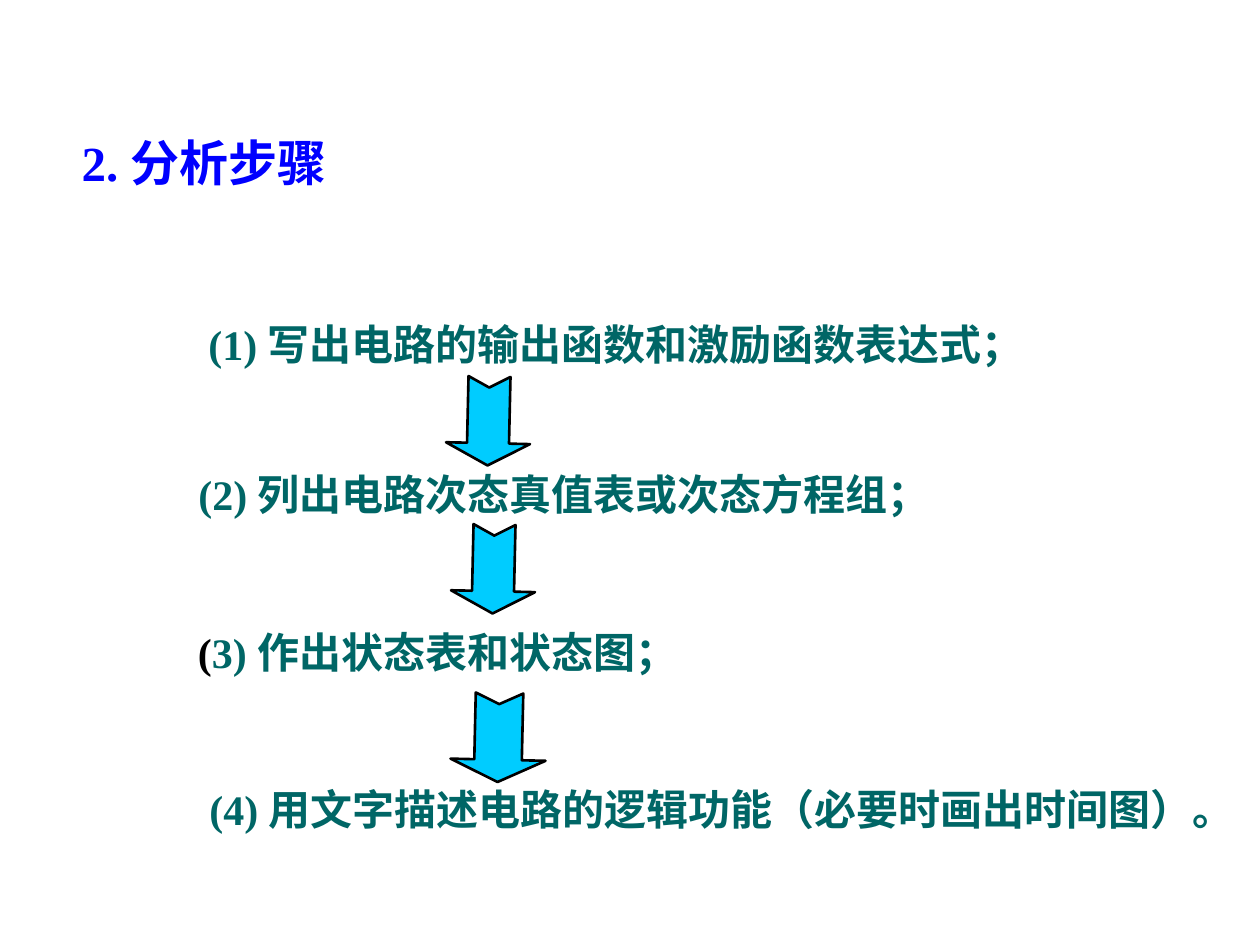
"""Build the slide on the four analysis steps, linked by down arrows."""
from pptx import Presentation
from pptx.dml.color import RGBColor
from pptx.enum.shapes import MSO_SHAPE as Shape
from pptx.enum.text import MSO_ANCHOR as Anchor, MSO_AUTO_SIZE as Fit, PP_ALIGN as Align
from pptx.util import Emu, Pt

SCALE = 914400 / 126
BLUE = RGBColor(0x00, 0x00, 0xFF)
TEAL = RGBColor(0x00, 0x66, 0x66)
CYAN = RGBColor(0x00, 0xCC, 0xFF)
BLACK = RGBColor(0x00, 0x00, 0x00)
STEPS = [
    ((196, 312, 862, 63), Align.LEFT, 0, [("(1) 写出电路的输出函数和激励函数表达式；", TEAL)]),
    ((186, 462, 955, 63), Align.LEFT, 0, [("(2) 列出电路次态真值表或次态方程组；", TEAL)]),
    ((112, 620, 651, 63), Align.CENTER, 0, [("(", BLACK), ("3) 作出状态表和状态图；", TEAL)]),
    ((147, 777, 1102, 63), Align.LEFT, 50,
     [("(4) 用文字描述电路的逻辑功能（必要时画出时间图）。", TEAL)]),
]
ARROWS = [(444, 379, 89, 84), (449, 527, 89, 84), (454, 690, 89, 95)]


def px(n):
    return Emu(round(n * SCALE))


def put(obj, vals):
    for key, val in vals.items():
        setattr(obj, key, val)


def place(shape, box):
    put(shape, dict(zip(("left", "top", "width", "height"), map(px, box))))


def write(shape, runs, size, align=Align.LEFT, indent=0):
    frame = shape.text_frame
    put(frame, {"word_wrap": True, "auto_size": Fit.NONE, "vertical_anchor": Anchor.TOP})
    para = frame.paragraphs[0]
    put(para, {"alignment": align, "line_spacing": 1.0, "space_before": Pt(0)})
    if indent:
        para._p.get_or_add_pPr().set("indent", str(px(indent)))
    for text, color in runs:
        run = para.add_run()
        run.text = text
        put(run.font, {"name": "Times New Roman", "size": Pt(size), "bold": True})
        run.font.color.rgb = color


def add_title(slide, text):
    title = slide.shapes.title
    place(title, (69, 126, 998, 72))
    write(title, [(text, BLUE)], 28)


def add_step(slide, box, align, indent, runs):
    step = slide.shapes.add_textbox(*map(px, box))
    write(step, runs, 24, align, indent)


def add_arrow(slide, box):
    arrow = slide.shapes.add_shape(Shape.NOTCHED_RIGHT_ARROW, *map(px, box))
    put(arrow, {"rotation": 91.3})
    arrow.adjustments[0] = 0.5
    arrow.adjustments[1] = 0.25 * box[2] / min(box[2:])
    arrow.shadow.inherit = False
    arrow.fill.solid()
    arrow.fill.fore_color.rgb = CYAN
    arrow.line.color.rgb = BLACK
    arrow.line.width = Pt(1.5)


def main():
    deck = Presentation()
    put(deck, {"slide_width": px(1260), "slide_height": px(945)})
    slide = deck.slides.add_slide(deck.slide_layouts[5])
    add_title(slide, "2. 分析步骤")
    for step in STEPS:
        add_step(slide, *step)
    for box in ARROWS:
        add_arrow(slide, box)
    deck.save("out.pptx")


if __name__ == "__main__":
    main()
